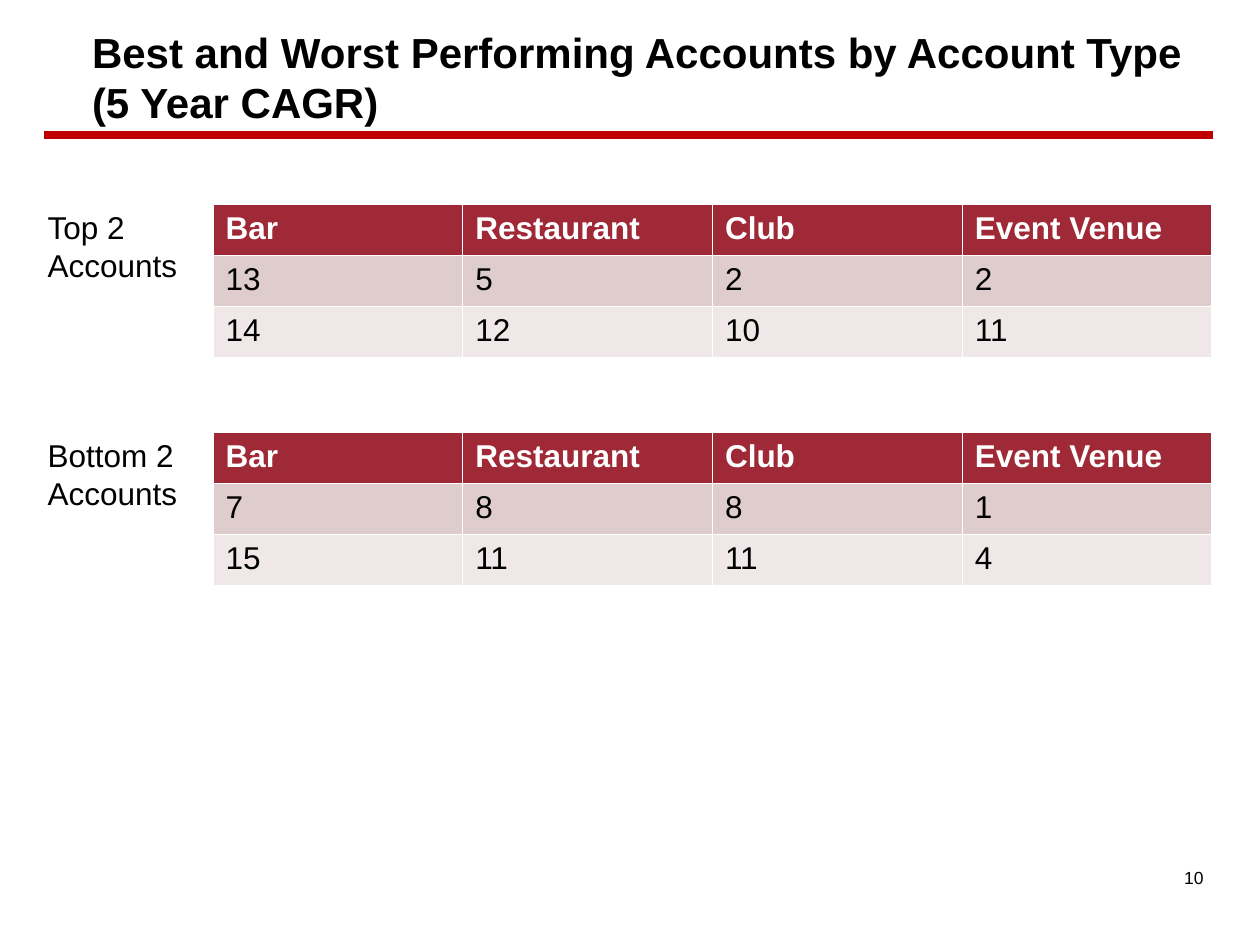
from dataclasses import dataclass

from lxml.etree import SubElement
from pptx import Presentation
from pptx.dml.color import RGBColor
from pptx.enum.shapes import MSO_CONNECTOR
from pptx.enum.text import MSO_ANCHOR, PP_ALIGN
from pptx.oxml.ns import qn
from pptx.util import Inches, Pt


@dataclass(frozen=True)
class Theme:
    """Colours, font and type sizes of the slide."""
    font: str = "Arial"
    text: str = "000000"
    header_text: str = "FFFFFF"
    rule: str = "C00000"
    row_fills: tuple = ("9F2936", "DFCDCE", "F0E8E8")
    title_size: int = 24
    body_size: int = 18
    number_size: int = 10


theme = Theme()


def style(paragraph, size, color=theme.text, bold=False):
    """Set the font of a whole paragraph."""
    font = paragraph.font
    font.name, font.size, font.bold = theme.font, Pt(size), bold
    font.color.rgb = RGBColor.from_string(color)


def add_text(text, left, top, width, height, size, bold=False):
    """Add a wrapping text box and return its text frame."""
    frame = slide.shapes.add_textbox(
        Inches(left), Inches(top), Inches(width), Inches(height)).text_frame
    frame.word_wrap = True
    frame.text = text
    style(frame.paragraphs[0], size, bold=bold)
    return frame


prs = Presentation()
prs.slide_width, prs.slide_height = Inches(10), Inches(7.5)
slide = prs.slides.add_slide(prs.slide_layouts[6])

page_number = add_text("10", 7, 6.83, 2.65, 0.52, theme.number_size)
page_number.paragraphs[0].alignment = PP_ALIGN.RIGHT

title_rule = slide.shapes.add_connector(
    MSO_CONNECTOR.STRAIGHT, Inches(0.35), Inches(1.07), Inches(9.63), Inches(1.07))
title_rule.line.color.rgb = RGBColor.from_string(theme.rule)
title_rule.line.width = Pt(4.5)
SubElement(title_rule._element.spPr, qn("a:effectLst"))

title = add_text("Best and Worst Performing Accounts by Account Type\v(5 Year CAGR)",
                 0.34, 0.14, 9.29, 0.94, theme.title_size, bold=True)
title.margin_left = Inches(0.39)
title.vertical_anchor = MSO_ANCHOR.MIDDLE

account_types = ["Bar", "Restaurant", "Club", "Event Venue"]
rankings = [
    ("Top 2 Accounts", 1.62, [[13, 5, 2, 2], [14, 12, 10, 11]]),
    ("Bottom 2 Accounts", 3.43, [[7, 8, 8, 1], [15, 11, 11, 4]]),
]

for label, top, accounts in rankings:
    rows = [account_types, *accounts]
    ranking = slide.shapes.add_table(
        len(rows), len(account_types),
        Inches(1.69), Inches(top), Inches(7.93), Inches(1.22)).table
    for r, values in enumerate(rows):
        is_header = r == 0
        for c, value in enumerate(values):
            cell = ranking.cell(r, c)
            cell.text = str(value)
            cell.fill.solid()
            cell.fill.fore_color.rgb = RGBColor.from_string(theme.row_fills[r])
            style(cell.text_frame.paragraphs[0], theme.body_size,
                  theme.header_text if is_header else theme.text, is_header)
    add_text(label, 0.28, top - 0.02, 1.65, 0.71, theme.body_size)

prs.save("out.pptx")
